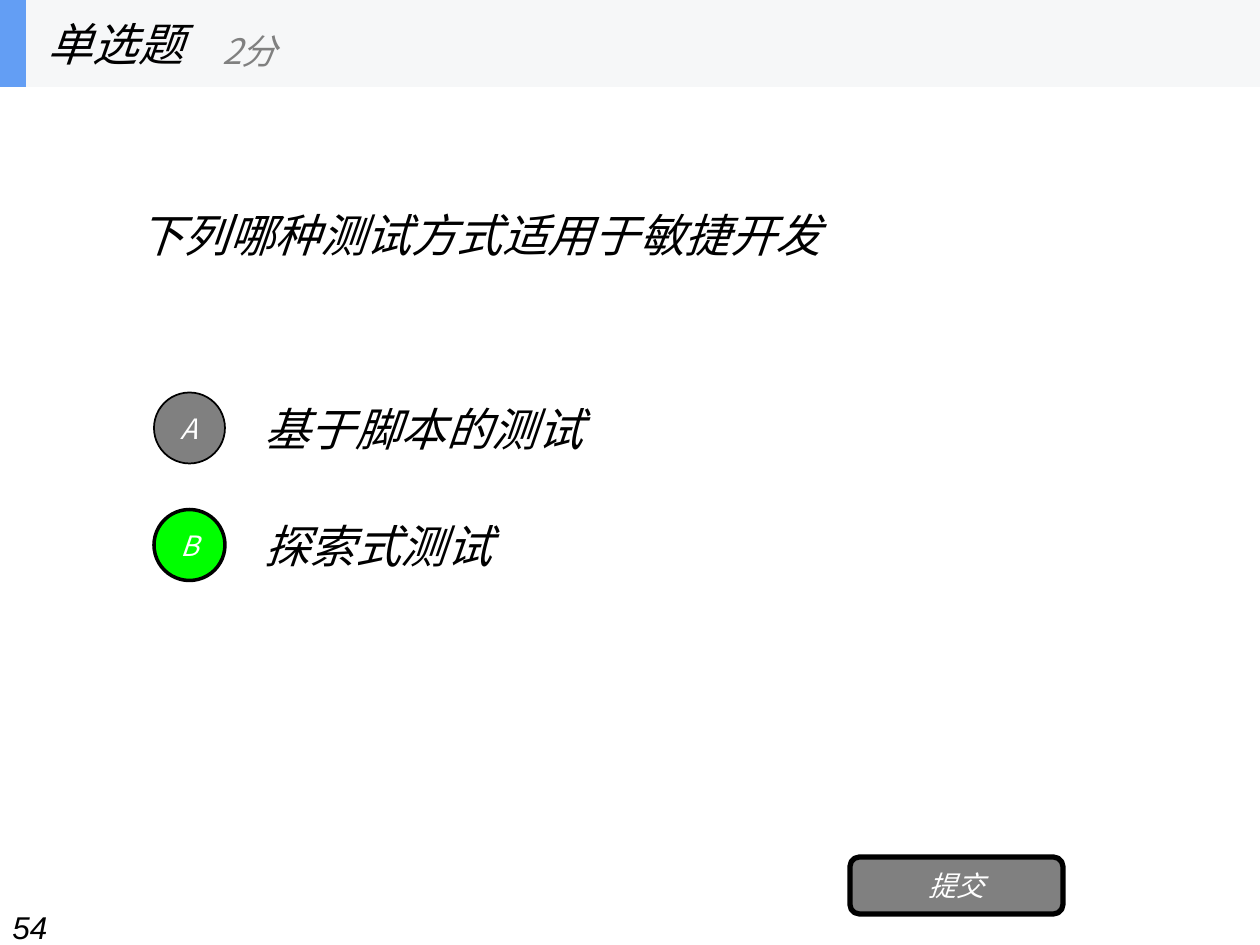
from lxml.etree import SubElement
from pptx import Presentation
from pptx.dml.color import RGBColor
from pptx.enum.shapes import MSO_SHAPE
from pptx.enum.text import MSO_ANCHOR, PP_ALIGN
from pptx.oxml.ns import qn
from pptx.util import Emu, Pt

EMU_PER_PX = 914400 / 126
CJK = "Noto Sans CJK SC"
BLACK, GRAY, WHITE, GREEN = "000000", "808080", "FFFFFF", "00FF00"


def px(n):
    return Emu(round(n * EMU_PER_PX))


def color(value):
    return RGBColor.from_string(value)


def write(sp, text, size=26, fill=BLACK, font=CJK, align=PP_ALIGN.LEFT,
          anchor=MSO_ANCHOR.MIDDLE, wrap=True):
    tf = sp.text_frame
    tf.word_wrap = wrap
    tf.vertical_anchor = anchor
    p = tf.paragraphs[0]
    p.alignment = align
    r = p.add_run()
    r.text = text
    r.font.size = Pt(size)
    r.font.italic = True
    r.font.name = font
    r.font.color.rgb = color(fill)
    SubElement(r.font._element, qn("a:ea")).set("typeface", font)


def add_text(shapes, box, text, **fmt):
    write(shapes.add_textbox(*map(px, box)), text, **fmt)


def add_box(shapes, kind, box, fill, line_width=0, label=None):
    """Add a filled shape, outlined in black if line_width is given."""
    sp = shapes.add_shape(kind, *map(px, box))
    sp.shadow.inherit = False
    sp.fill.solid()
    sp.fill.fore_color.rgb = color(fill)
    if line_width:
        sp.line.color.rgb = color(BLACK)
        sp.line.width = Pt(line_width)
    else:
        sp.line.fill.background()
    if label:
        write(sp, label, size=16, fill=WHITE, align=PP_ALIGN.CENTER)


def add_header(s, box, title, score):
    x, y, w, h = box
    shapes = s.shapes.add_group_shape().shapes
    add_box(shapes, MSO_SHAPE.RECTANGLE, box, "F6F7F8")
    add_box(shapes, MSO_SHAPE.RECTANGLE, (x, y, 26, h), "639EF4")
    add_text(shapes, (x + 35, y, 262, h), title, wrap=False)
    add_text(shapes, (x + 210, y + 15, 315, h - 16), score,
             size=20, fill=GRAY, wrap=False)


def add_option(s, box, letter, text, correct):
    x, y, w, h = box
    circle, indent = 71, 98
    add_text(s.shapes, (x + indent, y, w - indent, h), text)
    add_box(s.shapes, MSO_SHAPE.OVAL, (x, y + (h - circle) / 2, circle, circle),
            GREEN if correct else GRAY, 2 if correct else 1, letter)


def add_options(s, box, options, pitch=117):
    x, y, w, h = box
    for i, (letter, text, correct) in enumerate(options):
        add_option(s, (x, y + i * pitch, w, h), letter, text, correct)


def main():
    prs = Presentation()
    prs.slide_width, prs.slide_height = px(1260), px(945)
    s = prs.slides.add_slide(prs.slide_layouts[6])

    add_text(s.shapes, (0, 902, 1260, 37), "54", size=18, font="Arial",
             anchor=MSO_ANCHOR.TOP)
    add_text(s.shapes, (126, 87, 1008, 295), "下列哪种测试方式适用于敏捷开发")
    add_options(s, (154, 384, 980, 88), [
        ("A", "基于脚本的测试", False),
        ("B", "探索式测试", True),
    ])
    add_box(s.shapes, MSO_SHAPE.ROUNDED_RECTANGLE, (850, 857, 213, 57),
            GRAY, 3, "提交")
    add_header(s, (0, 0, 1260, 87), "单选题", "2分")
    prs.save("out.pptx")


if __name__ == "__main__":
    main()
